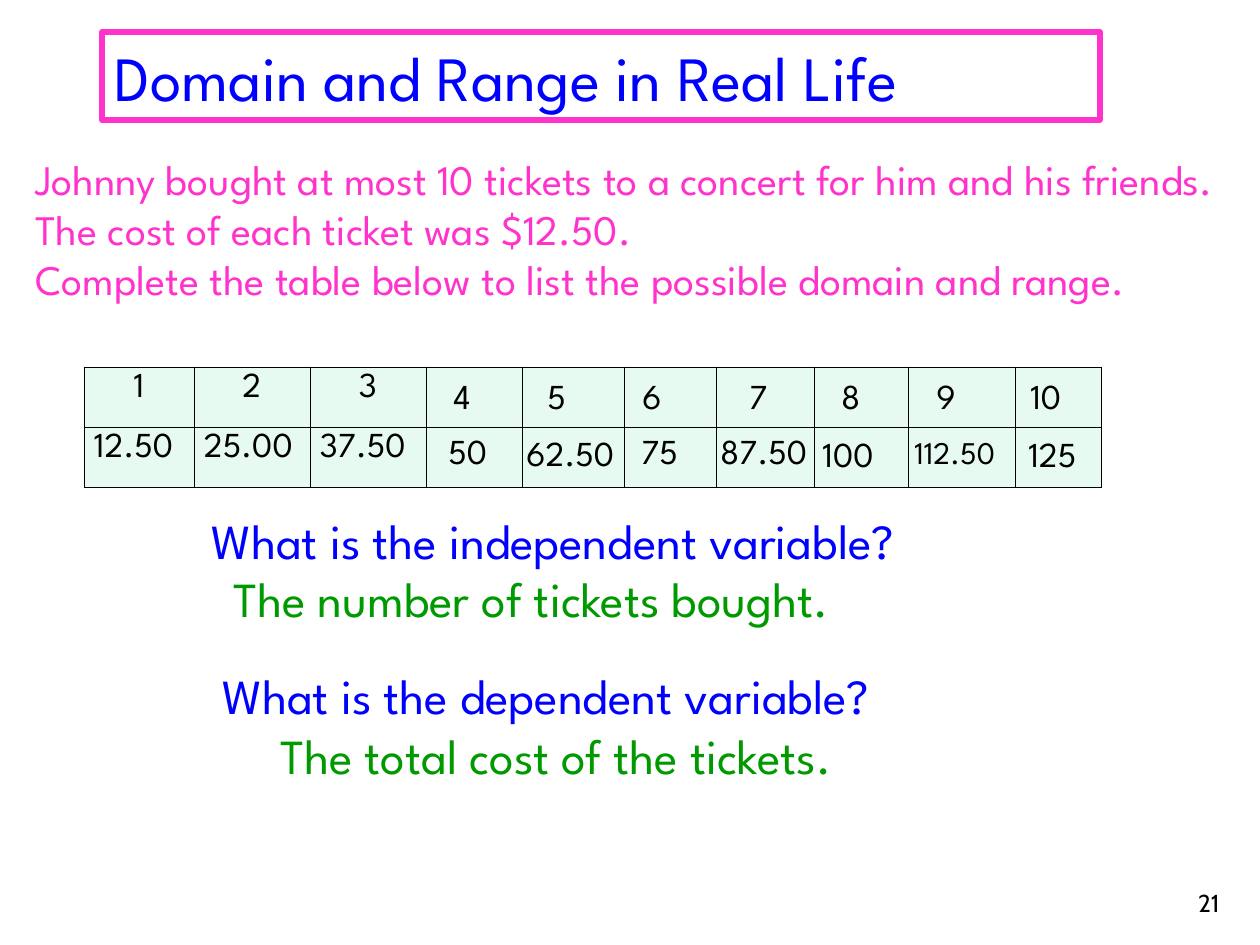
"""Build the slide on domain and range in real life."""
import dataclasses
import typing

import lxml.etree
import pptx
import pptx.dml.color
import pptx.enum.text
import pptx.oxml.ns
import pptx.util

EMU_PER_PX = 914400 / 126
ALIGN = pptx.enum.text.PP_ALIGN
ANCHOR = pptx.enum.text.MSO_ANCHOR


@dataclasses.dataclass(frozen=True)
class Theme:
    blue: str = "0000FF"
    pink: str = "FF33CC"
    green: str = "009900"
    black: str = "000000"
    mint: str = "E7FAF1"
    font: str = "League Spartan"
    number_font: str = "Cabin"
    title: int = 36
    question: int = 28
    body: int = 24
    value: int = 20
    small_value: int = 18
    number: int = 14
    leading: float = 1.2
    cell_leading: float = 0.92
    border: float = 0.45
    frame: int = 3


THEME = Theme()


class Label(typing.NamedTuple):
    text: str
    left: int
    top: int
    width: int
    height: int = 55
    size: int = THEME.value
    color: str = THEME.black


COLUMN_WIDTHS = (110, 116, 116, 96, 102, 92, 99, 94, 107, 86)
ROW_HEIGHT = 60
TABLE_LEFT, TABLE_TOP = 84, 367
CELL_MARGIN = 10
CELL_ROWS = (
    (("1", "2", "3"), ALIGN.CENTER),
    (("12.50", "25.00", "37.50"), ALIGN.LEFT),
)
TICKET_LEFTS = (441, 535, 630, 737, 829, 924, 1018)
TICKETS = [Label(str(count), left, 368, 73) for count, left in enumerate(TICKET_LEFTS, 4)]
COSTS = [
    Label("50", 436, 423, 73),
    Label("62.50", 514, 425, 116),
    Label("75", 629, 423, 73),
    Label("87.50", 708, 423, 116),
    Label("100", 810, 426, 94),
    Label("112.50", 902, 427, 126, size=THEME.small_value),
    Label("125", 1016, 426, 84),
]
QUESTIONS = [
    Label(text, left, top, 935, 72, THEME.question, color)
    for text, left, top, color in (
        ("What is the independent variable?", 199, 504, THEME.blue),
        ("The number of tickets bought.", 221, 562, THEME.green),
        ("What is the dependent variable?", 210, 659, THEME.blue),
        ("The total cost of the tickets.", 268, 719, THEME.green),
    )
]
STORY = Label(
    "Johnny bought at most 10 tickets to a concert for him and his friends. "
    "The cost of each ticket was $12.50.\n"
    "Complete the table below to list the possible domain and range.",
    23, 147, 1207, 214, THEME.body, THEME.pink,
)


def px(length: int) -> pptx.util.Emu:
    """Turn px into EMU."""
    return pptx.util.Emu(round(length * EMU_PER_PX))


def rgb(color: str) -> pptx.dml.color.RGBColor:
    """Turn a hex string into a colour."""
    return pptx.dml.color.RGBColor.from_string(color)


def write(frame, text: str, *, size: int, color: str = THEME.black, font: str = THEME.font,
          align=ALIGN.LEFT, leading: float = THEME.leading) -> None:
    """Fill a text frame with evenly formatted paragraphs."""
    frame.text = text
    for para in frame.paragraphs:
        para.alignment = align
        para.space_before = pptx.util.Pt(0)
        para.line_spacing = pptx.util.Pt(round(size * leading, 1))
        for span in para.runs:
            span.font.name = font
            span.font.size = pptx.util.Pt(size)
            span.font.color.rgb = rgb(color)


def add_title(page, text: str) -> None:
    """Place the framed title in its placeholder."""
    box = page.shapes.title
    box.left, box.top, box.width, box.height = px(102), px(32), px(998), px(88)
    box.line.color.rgb = rgb(THEME.pink)
    box.line.width = pptx.util.Pt(THEME.frame)
    box.text_frame.auto_size = pptx.enum.text.MSO_AUTO_SIZE.NONE
    box.text_frame.vertical_anchor = ANCHOR.TOP
    write(box.text_frame, text, size=THEME.title, color=THEME.blue)


def add_label(page, label: Label, *, anchor=ANCHOR.TOP, **style) -> None:
    """Place one wrapped text box."""
    box = page.shapes.add_textbox(
        px(label.left), px(label.top), px(label.width), px(label.height))
    box.text_frame.word_wrap = True
    box.text_frame.vertical_anchor = anchor
    write(box.text_frame, label.text, size=label.size, color=label.color, **style)


def style_cell(cell) -> None:
    """Give a cell thin borders, a mint fill and side margins."""
    qn = pptx.oxml.ns.qn
    properties = cell._tc.get_or_add_tcPr()
    for side in ("lnL", "lnR", "lnT", "lnB"):
        line = lxml.etree.SubElement(
            properties, qn(f"a:{side}"), w=str(pptx.util.Pt(THEME.border)))
        fill = lxml.etree.SubElement(line, qn("a:solidFill"))
        lxml.etree.SubElement(fill, qn("a:srgbClr"), val=THEME.black)
    cell.fill.solid()
    cell.fill.fore_color.rgb = rgb(THEME.mint)
    cell.margin_left = cell.margin_right = px(CELL_MARGIN)


def add_ticket_table(page) -> None:
    """Draw the table with its first three columns filled in."""
    table = page.shapes.add_table(
        len(CELL_ROWS), len(COLUMN_WIDTHS), px(TABLE_LEFT), px(TABLE_TOP),
        px(sum(COLUMN_WIDTHS)), px(ROW_HEIGHT * len(CELL_ROWS))).table
    table.first_row = table.horz_banding = False
    for column, width in zip(table.columns, COLUMN_WIDTHS):
        column.width = px(width)
    for row, (texts, align) in zip(table.rows, CELL_ROWS):
        row.height = px(ROW_HEIGHT)
        for cell in row.cells:
            style_cell(cell)
        for cell, text in zip(row.cells, texts):
            write(cell.text_frame, text, size=THEME.value, align=align,
                  leading=THEME.cell_leading)


def main() -> None:
    """Build and save the deck."""
    deck = pptx.Presentation()
    deck.slide_width, deck.slide_height = px(1260), px(945)
    page = deck.slides.add_slide(deck.slide_layouts.get_by_name("Title Only"))
    add_title(page, "Domain and Range in Real Life")
    add_label(page, STORY)
    add_ticket_table(page)
    for label in TICKETS + COSTS + QUESTIONS:
        add_label(page, label)
    add_label(page, Label("21", 970, 861, 262, 63, THEME.number),
              anchor=ANCHOR.BOTTOM, font=THEME.number_font, align=ALIGN.RIGHT)
    deck.save("out.pptx")


if __name__ == "__main__":
    main()
